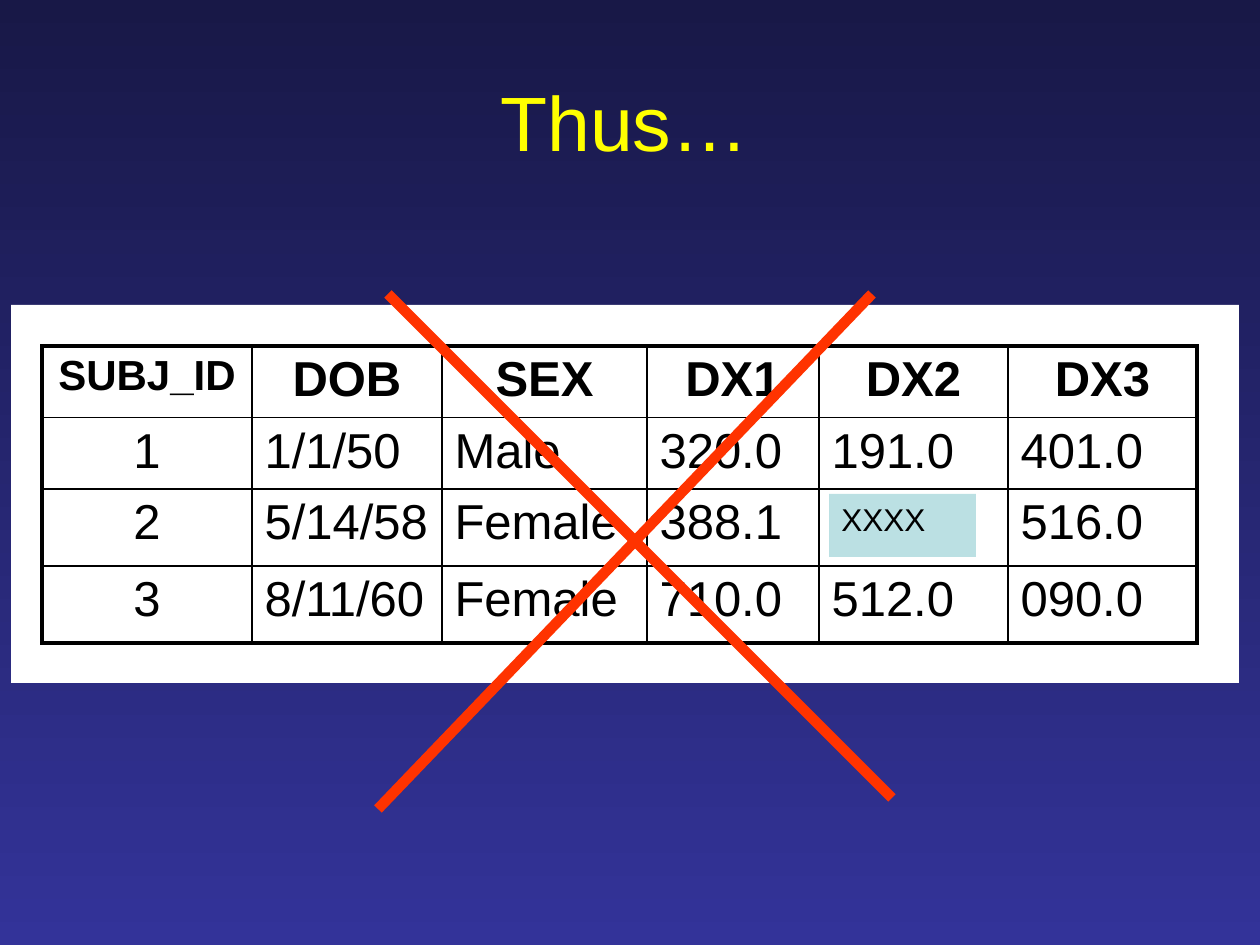
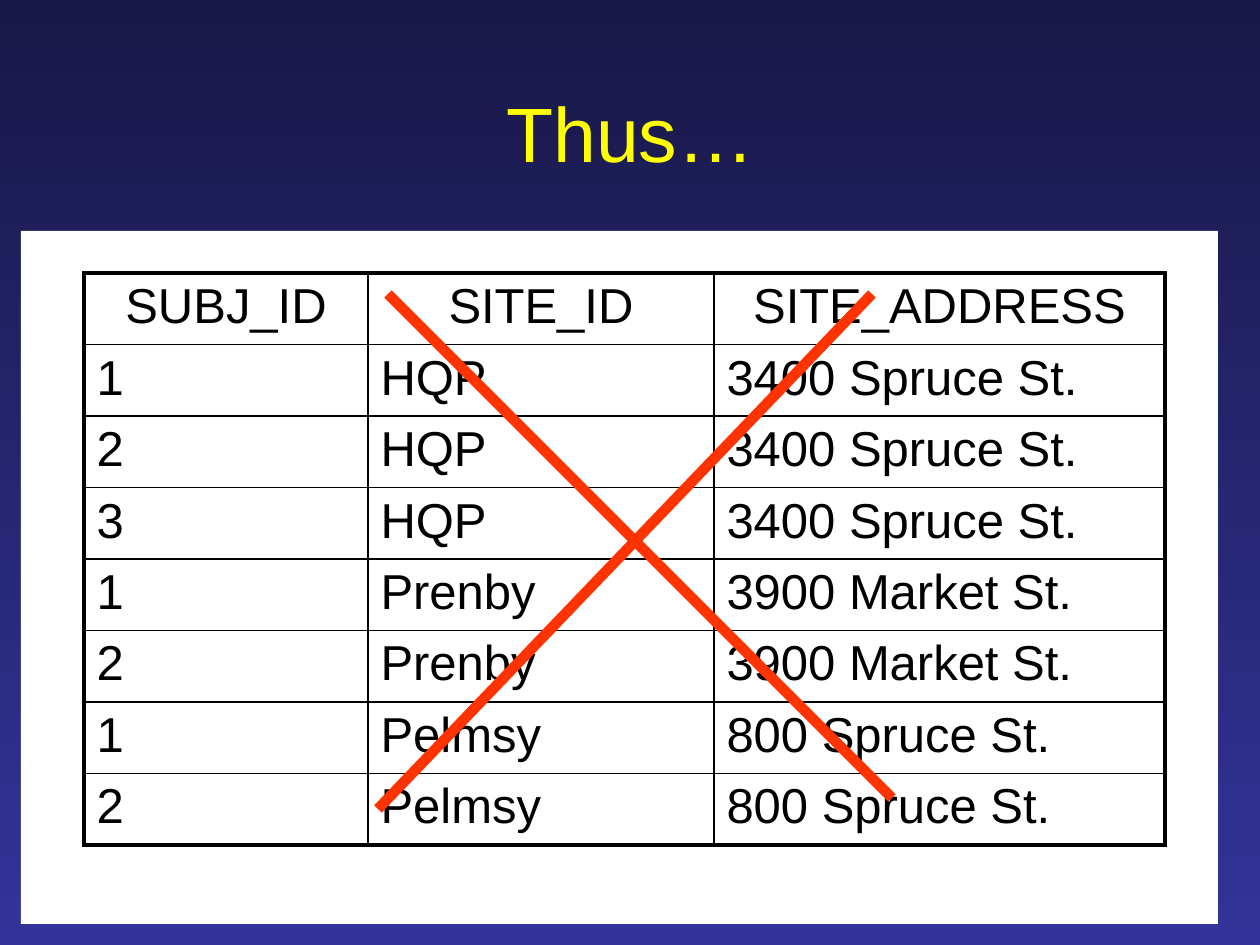
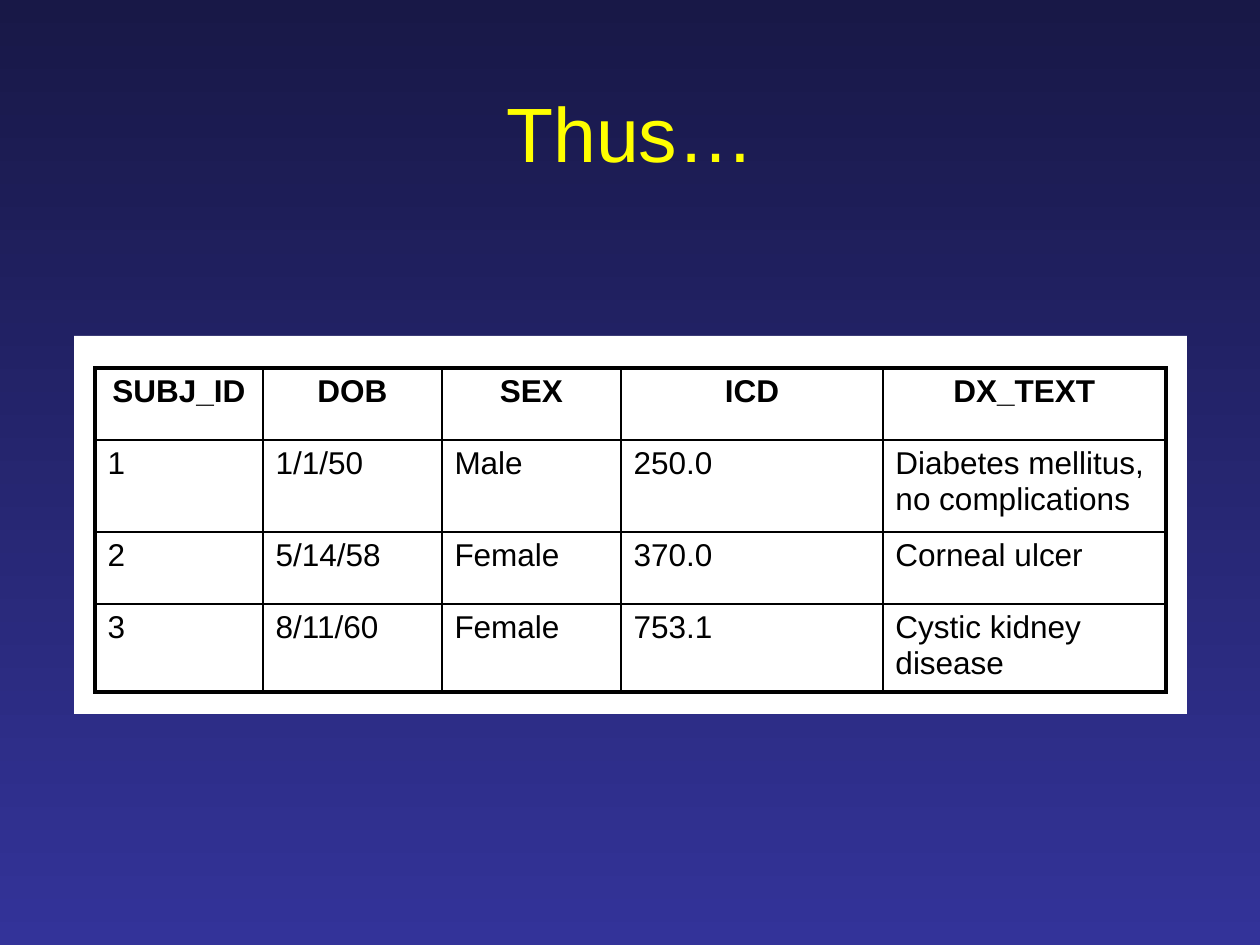
"""Builds three slides that each show a patient data table, two of them crossed out."""
from dataclasses import dataclass

from lxml import etree
from pptx import Presentation, util as u
from pptx.dml.color import RGBColor
from pptx.enum import shapes, text
from pptx.oxml import ns

SCALE = 914400 / 126
SIZE = (1260, 945)
CROSS = [((872, 294), (378, 809)), ((388, 294), (892, 798))]


@dataclass(frozen=True)
class Theme:
    font: str = "Arial"
    sky_top: str = "181847"
    sky_bottom: str = "333399"
    title: str = "FFFF00"
    panel: str = "FFFFFF"
    ink: str = "000000"
    mask: str = "BBE0E3"
    cross: str = "FF3300"
    title_size: int = 44
    mask_size: int = 18
    cross_width: float = 6
    outer: float = 2.25
    inner: float = 1


THEME = Theme()

PAGES = [
    {
        "title": "Thus…", "title_at": (84, 42, 1081, 158),
        "panel": (11, 305, 1228, 378), "origin": (42, 346),
        "columns": [210, 190, 205, 172, 189, 189], "heights": [59, 59, 77, 77],
        "size": 28, "first_size": 24, "bold_head": True, "centre_ids": True,
        "rows": [
            ["SUBJ_ID", "DOB", "SEX", "DX1", "DX2", "DX3"],
            ["1", "1/1/50", "Male", "320.0", "191.0", "401.0"],
            ["2", "5/14/58", "Female", "388.1", "", "516.0"],
            ["3", "8/11/60", "Female", "710.0", "512.0", "090.0"],
        ],
        "mask": ("XXXX", (829, 494, 147, 63)), "crossed": True,
    },
    {
        "title": "Thus…", "title_at": (95, 53, 1071, 158),
        "panel": (21, 231, 1197, 693), "origin": (84, 273),
        "columns": [284, 346, 451], "heights": [571 / 8] * 8,
        "size": 28, "first_size": 28, "bold_head": False, "centre_ids": False,
        "rows": [
            ["SUBJ_ID", "SITE_ID", "SITE_ADDRESS"],
            ["1", "HQP", "3400 Spruce St."],
            ["2", "HQP", "3400 Spruce St."],
            ["3", "HQP", "3400 Spruce St."],
            ["1", "Prenby", "3900 Market St."],
            ["2", "Prenby", "3900 Market St."],
            ["1", "Pelmsy", "800 Spruce St."],
            ["2", "Pelmsy", "800 Spruce St."],
        ],
        "mask": None, "crossed": True,
    },
    {
        "title": "Thus…", "title_at": (95, 53, 1071, 158),
        "panel": (74, 336, 1113, 378), "origin": (95, 368),
        "columns": [168, 179, 179, 262, 283], "heights": [72, 92, 72, 88],
        "size": 18, "first_size": 18, "bold_head": True, "centre_ids": False,
        "rows": [
            ["SUBJ_ID", "DOB", "SEX", "ICD", "DX_TEXT"],
            ["1", "1/1/50", "Male", "250.0", "Diabetes mellitus, no complications"],
            ["2", "5/14/58", "Female", "370.0", "Corneal ulcer"],
            ["3", "8/11/60", "Female", "753.1", "Cystic kidney disease"],
        ],
        "mask": None, "crossed": False,
    },
]


def emu(*pixels):
    return [u.Emu(round(pixel * SCALE)) for pixel in pixels]


def rgb(colour):
    return RGBColor.from_string(colour)


def write(frame, words, size, colour, align=text.PP_ALIGN.LEFT, bold=False):
    para = frame.paragraphs[0]
    para.alignment = align
    span = para.add_run()
    span.text = words
    span.font.name = THEME.font
    span.font.size = u.Pt(size)
    span.font.bold = bold
    span.font.color.rgb = rgb(colour)
    return para


def add_page(deck):
    page = deck.slides.add_slide(deck.slide_layouts[6])
    fill = page.background.fill
    fill.gradient()
    fill.gradient_angle = 270
    for stop, colour in zip(fill.gradient_stops, (THEME.sky_top, THEME.sky_bottom)):
        stop.color.rgb = rgb(colour)
    return page


def add_block(page, place, colour):
    block = page.shapes.add_shape(shapes.MSO_SHAPE.RECTANGLE, *emu(*place))
    block.shadow.inherit = False
    block.fill.solid()
    block.fill.fore_color.rgb = rgb(colour)
    block.line.fill.background()
    return block


def add_title(page, words, place):
    frame = page.shapes.add_textbox(*emu(*place)).text_frame
    frame.word_wrap = True
    frame.vertical_anchor = text.MSO_ANCHOR.MIDDLE
    write(frame, words, THEME.title_size, THEME.title, text.PP_ALIGN.CENTER)


def add_border(cell, side, width):
    props = cell._tc.get_or_add_tcPr()
    line = etree.SubElement(props, ns.qn(f"a:ln{side}"), w=str(u.Pt(width)))
    fill = etree.SubElement(line, ns.qn("a:solidFill"))
    etree.SubElement(fill, ns.qn("a:srgbClr"), val=THEME.ink)


def add_space_before(para):
    space = etree.SubElement(para._p.get_or_add_pPr(), ns.qn("a:spcBef"))
    etree.SubElement(space, ns.qn("a:spcPct"), val="20000")


def add_grid(page, content):
    rows, columns, heights = content["rows"], content["columns"], content["heights"]
    place = (*content["origin"], sum(columns), sum(heights))
    grid = page.shapes.add_table(len(rows), len(columns), *emu(*place)).table
    grid.first_row = grid.horz_banding = False
    for column, width in zip(grid.columns, emu(*columns)):
        column.width = width
    for row, height in zip(grid.rows, emu(*heights)):
        row.height = height
    for r, row in enumerate(rows):
        for c, words in enumerate(row):
            cell = grid.cell(r, c)
            edges = {"L": c == 0, "R": c == len(row) - 1,
                     "T": r == 0, "B": r == len(rows) - 1}
            for side, outside in edges.items():
                add_border(cell, side, THEME.outer if outside else THEME.inner)
            cell.fill.background()
            if words:
                head = r == 0
                centred = head or (c == 0 and content["centre_ids"])
                align = text.PP_ALIGN.CENTER if centred else text.PP_ALIGN.LEFT
                size = content["first_size"] if r == c == 0 else content["size"]
                bold = head and content["bold_head"]
                add_space_before(write(cell.text_frame, words, size, THEME.ink, align, bold))


def add_mask(page, words, place):
    frame = add_block(page, place, THEME.mask).text_frame
    frame.word_wrap = False
    frame.auto_size = text.MSO_AUTO_SIZE.SHAPE_TO_FIT_TEXT
    frame.vertical_anchor = text.MSO_ANCHOR.TOP
    write(frame, words, THEME.mask_size, THEME.ink)


def add_cross(page):
    for start, end in CROSS:
        stroke = page.shapes.add_connector(
            shapes.MSO_CONNECTOR.STRAIGHT, *emu(*start, *end))
        stroke.line.color.rgb = rgb(THEME.cross)
        stroke.line.width = u.Pt(THEME.cross_width)
        etree.SubElement(stroke._element.spPr, ns.qn("a:effectLst"))


def build():
    deck = Presentation()
    deck.slide_width, deck.slide_height = emu(*SIZE)
    for content in PAGES:
        page = add_page(deck)
        add_block(page, content["panel"], THEME.panel)
        add_title(page, content["title"], content["title_at"])
        add_grid(page, content)
        if content["mask"]:
            add_mask(page, *content["mask"])
        if content["crossed"]:
            add_cross(page)
    deck.save("out.pptx")


build()
